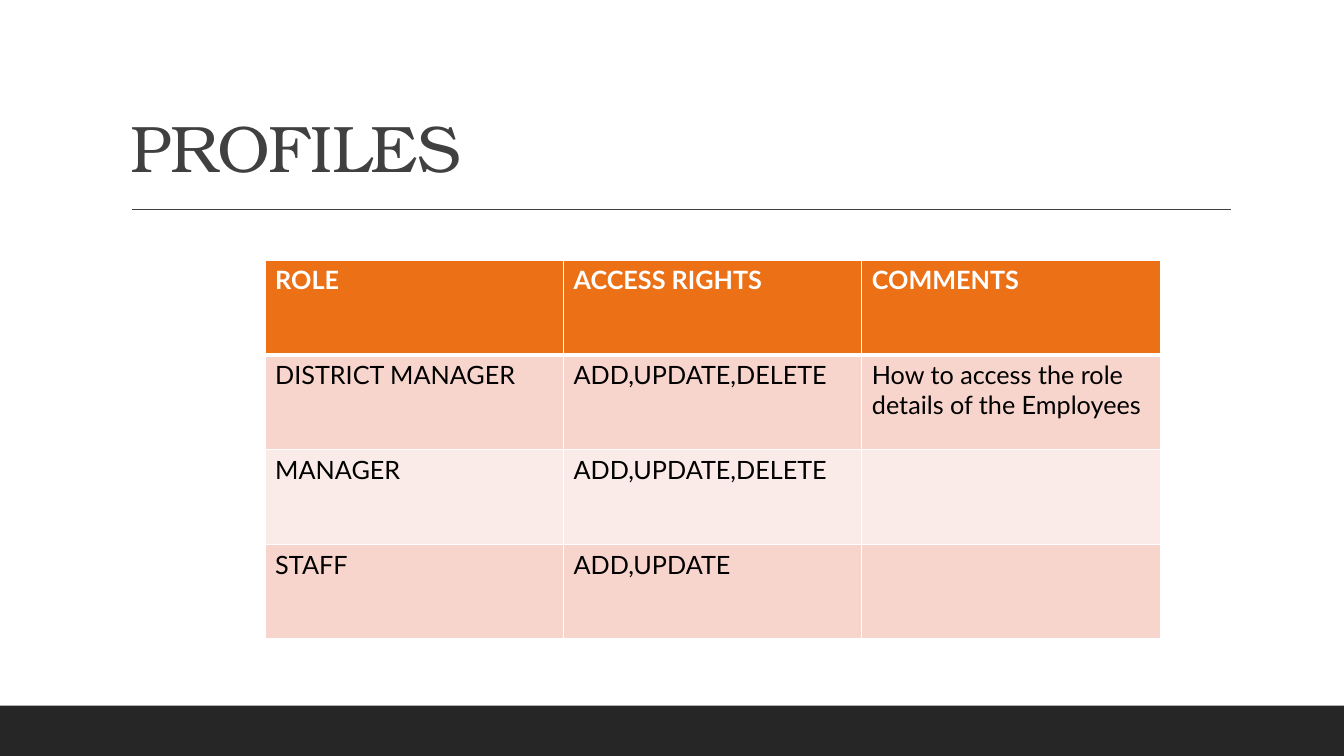
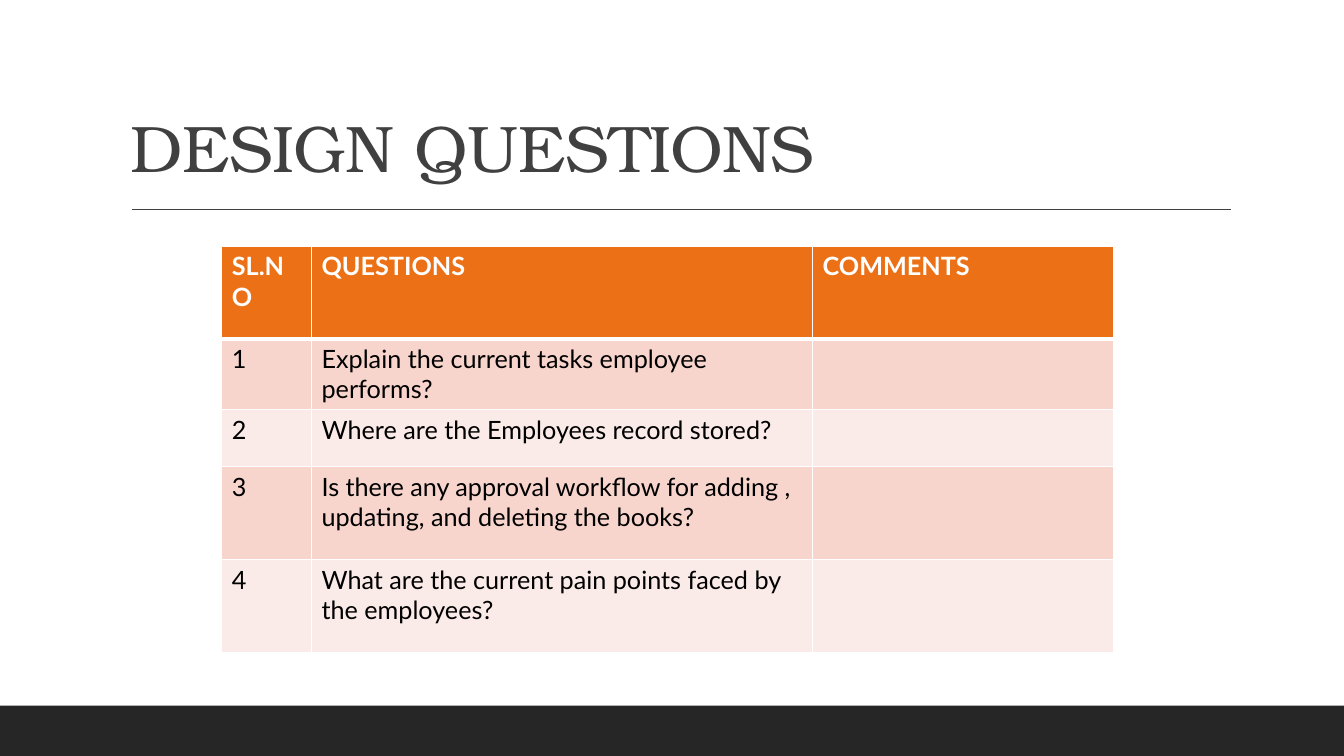
from lxml import etree
from pptx import Presentation
from pptx import util as u
from pptx.dml.color import RGBColor
from pptx.enum import shapes, text
from pptx.oxml.ns import qn

# Slide size and shared style
W, H = u.Inches(13.33), u.Inches(7.5)
TITLE_FONT, BODY_FONT = "TeX Gyre Bonum", "Lato"
INK, BAND, WHITE, BLACK = "404040", "262626", "FFFFFF", "000000"
HEADER, ROW_FILLS = "EC7016", ("F8D5CC", "FBEBE8")


def x(pct):
    """Share of the slide's width, in percent."""
    return u.Emu(round(W * pct / 100))


def y(pct):
    """Share of the slide's height, in percent."""
    return u.Emu(round(H * pct / 100))


def paint(target, color):
    """Solid colour for a fill; fonts and lines pass their own fill."""
    target.solid()
    target.fore_color.rgb = RGBColor.from_string(color)


def add_run(p, content, font, size, color, bold=False):
    r = p.add_run()
    r.text = content
    r.font.name, r.font.size, r.font.bold = font, u.Pt(size), bold
    paint(r.font.fill, color)
    return r


# Frame shared by all slides: bottom band, rule and title
def add_frame(s, title):
    band = s.shapes.add_shape(shapes.MSO_SHAPE.RECTANGLE, 0, y(93.33), W, y(6.67))
    band.shadow.inherit = False
    paint(band.fill, BAND)
    band.line.fill.background()

    rule = s.shapes.add_connector(
        shapes.MSO_CONNECTOR.STRAIGHT, x(9.83), y(27.73), x(91.57), y(27.73))
    paint(rule.line.fill, INK)
    rule.line.width = u.Pt(1)
    etree.SubElement(rule._element.spPr, qn("a:effectLst"))

    sp = s.shapes.add_textbox(x(9), y(4.13), x(82.5), y(21.2))
    tf = sp.text_frame
    tf.word_wrap = True
    tf.vertical_anchor = text.MSO_ANCHOR.BOTTOM
    p = tf.paragraphs[0]
    p.line_spacing = 0.9
    r = add_run(p, title, TITLE_FONT, 47, INK)
    r.font._element.set("spc", "-50")


# Tables
def add_borders(cell, bottom, top):
    tc_pr = cell._tc.get_or_add_tcPr()
    for side, width in (("L", 1), ("R", 1), ("T", top), ("B", bottom)):
        ln = etree.SubElement(tc_pr, qn(f"a:ln{side}"), w=str(u.Pt(width)))
        fill = etree.SubElement(ln, qn("a:solidFill"))
        etree.SubElement(fill, qn("a:srgbClr"), val=WHITE)


def add_grid(s, left, top, cols, heights, rows):
    """Table with a header row and alternating body rows; sizes in percent."""
    table = s.shapes.add_table(
        len(rows), len(cols), x(left), y(top), x(sum(cols)), y(sum(heights))).table
    table.horz_banding = False
    for col, width in zip(table.columns, cols):
        col.width = x(width)
    for i, (row, height, values) in enumerate(zip(table.rows, heights, rows)):
        row.height = y(height)
        head = i == 0
        for cell, value in zip(row.cells, values):
            add_borders(cell, bottom=3 if head else 1, top=3 if i == 1 else 1)
            paint(cell.fill, HEADER if head else ROW_FILLS[(i - 1) % 2])
            if value:
                add_run(cell.text_frame.paragraphs[0], value, BODY_FONT, 18,
                        WHITE if head else BLACK, bold=head)


PROFILES = [
    ("ROLE", "ACCESS RIGHTS", "COMMENTS"),
    ("DISTRICT MANAGER", "ADD,UPDATE,DELETE",
     "How to access the role details of the Employees"),
    ("MANAGER", "ADD,UPDATE,DELETE", ""),
    ("STAFF", "ADD,UPDATE", ""),
]
QUESTIONS = [
    "Explain the current tasks employee performs?",
    "Where are the Employees record stored?",
    "Is there any approval workflow for adding , updating, and deleting the books?",
    "What are the current pain points faced by the employees?",
]


def main():
    prs = Presentation()
    prs.slide_width, prs.slide_height = W, H
    question_rows = [("SL.NO", "QUESTIONS", "COMMENTS")]
    question_rows += [(str(n), q, "") for n, q in enumerate(QUESTIONS, 1)]
    slides = [
        ("PROFILES", 19.73, 34.4, [22.2] * 3, [12.53] * 4, PROFILES),
        ("DESIGN QUESTIONS", 16.5, 32.53, [6.68, 37.28, 22.43],
         [12.27, 9.07, 7.6, 12.27, 12.27], question_rows),
    ]
    for title, *grid in slides:
        s = prs.slides.add_slide(prs.slide_layouts[6])
        add_frame(s, title)
        add_grid(s, *grid)
    prs.save("out.pptx")


if __name__ == "__main__":
    main()
